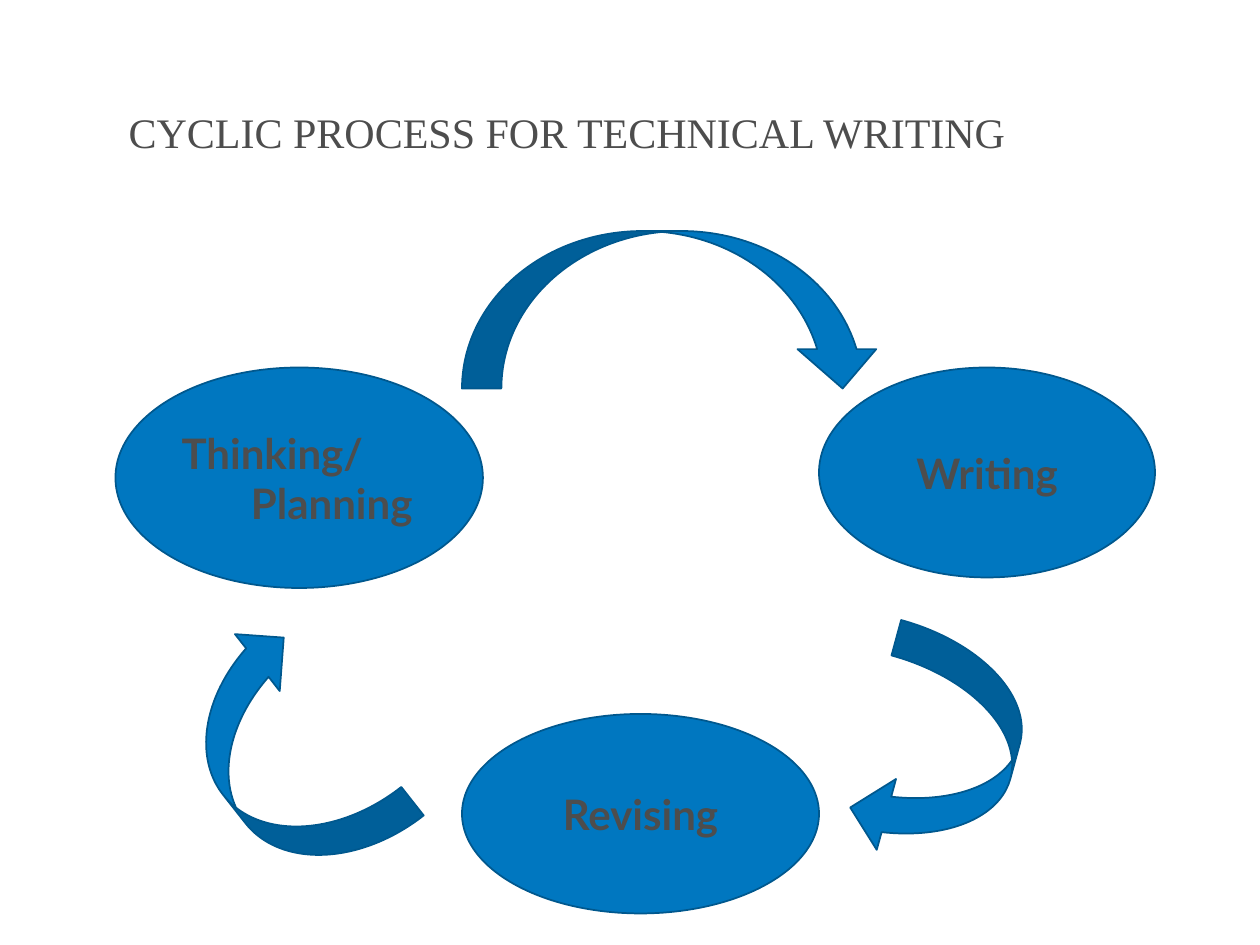
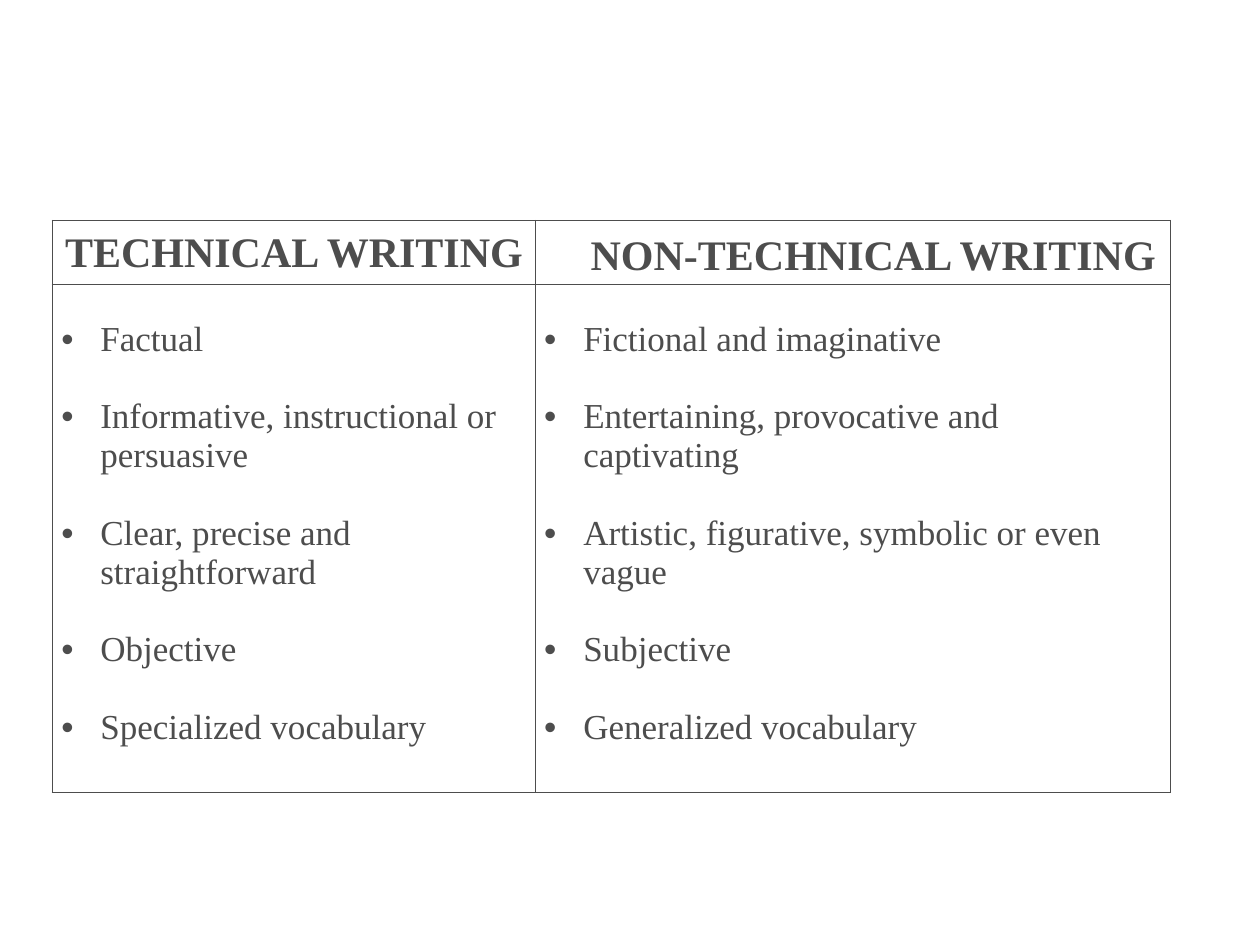
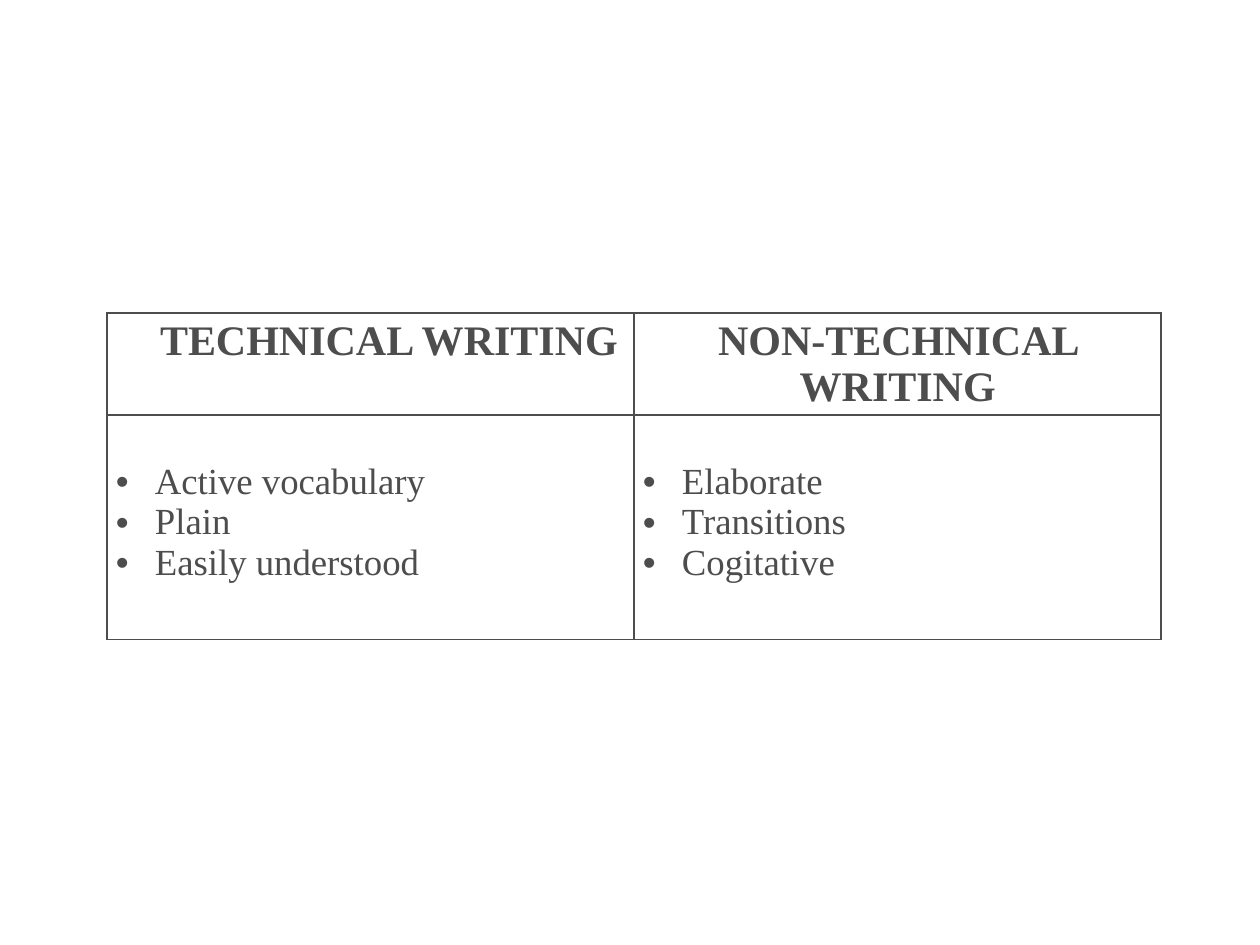
from dataclasses import dataclass

from lxml.etree import SubElement
from pptx import Presentation
from pptx.dml.color import RGBColor
from pptx.enum.shapes import MSO_SHAPE as SHAPE
from pptx.enum.text import MSO_ANCHOR as ANCHOR, PP_ALIGN as ALIGN
from pptx.oxml import parse_xml
from pptx.oxml.ns import nsdecls, qn
from pptx.util import Emu, Inches, Pt

# Shared style
INK, BLUE, EDGE = "4D4D4D", "0077C0", "00588E"
SERIF, SANS = "Times New Roman", "Lato"
TITLE = {"size": Pt(24), "name": SERIF, "bold": False}
HEADER = {"size": Pt(24), "name": SERIF, "bold": True}
LABEL = {"size": Pt(24), "name": SANS, "bold": True}
LINE_HEIGHT = 1.11  # line pitch of the serif font as a share of its size
BULLET_INDENT = 0.31

# Grid: 120 columns by 90 rows on a 10 by 7.5 inch slide
CELL = Inches(10) // 120


@dataclass
class Box:
    col: float
    row: float
    cols: float
    rows: float

    def place(self) -> tuple:
        return tuple(grid(n) for n in (self.col, self.row, self.cols, self.rows))


@dataclass
class Stage:
    text: str
    box: Box
    hanging: float = 0  # inches; lines after the first start this far in


@dataclass
class Arrow:
    kind: SHAPE
    box: Box
    rotation: float = 0


@dataclass
class Column:
    header: str
    items: list[str]
    header_left: float = 0.07
    header_top: float = 0.04


@dataclass
class Comparison:
    col: float
    row: float
    widths: list[float]
    heights: list[float]
    columns: list[Column]
    size: float
    gap_lines: int
    body_top: float
    header_anchor: ANCHOR


def grid(n: float) -> Emu:
    return Emu(round(n * CELL))


def rgb(value: str) -> RGBColor:
    return RGBColor.from_string(value)


def write(p, text: str, style: dict, align=ALIGN.LEFT) -> None:
    p.alignment = align
    r = p.add_run()
    r.text = text
    for key, value in style.items():
        setattr(r.font, key, value)
    r.font.color.rgb = rgb(INK)


def hang(p, inches: float) -> None:
    pPr = p._p.get_or_add_pPr()
    pPr.set("marL", str(Inches(inches)))
    pPr.set("indent", str(-Inches(inches)))


def add_bullet(p) -> None:
    hang(p, BULLET_INDENT)
    pPr = p._p.get_or_add_pPr()
    SubElement(pPr, qn("a:buFont"), typeface="Arial")
    SubElement(pPr, qn("a:buChar"), char="•")


def add_blue_shape(s, kind: SHAPE, box: Box):
    sp = s.shapes.add_shape(kind, *box.place())
    sp.shadow.inherit = False
    sp.fill.solid()
    sp.fill.fore_color.rgb = rgb(BLUE)
    sp.line.color.rgb = rgb(EDGE)
    sp.line.width = Pt(1)
    return sp


def add_stage(s, stage: Stage) -> None:
    tf = add_blue_shape(s, SHAPE.OVAL, stage.box).text_frame
    tf.word_wrap = True
    tf.vertical_anchor = ANCHOR.MIDDLE
    p = tf.paragraphs[0]
    write(p, stage.text, LABEL, ALIGN.LEFT if stage.hanging else ALIGN.CENTER)
    if stage.hanging:
        tf.margin_right = 0
        hang(p, stage.hanging)


def add_arrow(s, arrow: Arrow) -> None:
    add_blue_shape(s, arrow.kind, arrow.box).rotation = arrow.rotation


def format_cell(cell, left: float, top: float) -> None:
    margins = {"left": left, "top": top, "right": 0.07, "bottom": 0.03}
    for side, inches in margins.items():
        setattr(cell, f"margin_{side}", Inches(inches))
    cell.fill.background()
    tcPr = cell._tc.get_or_add_tcPr()
    for i, side in enumerate("LRTB"):
        tcPr.insert(i, parse_xml(
            f'<a:ln{side} {nsdecls("a")} w="{Pt(1)}"><a:solidFill>'
            f'<a:srgbClr val="{INK}"/></a:solidFill></a:ln{side}>'))


def add_comparison(s, c: Comparison) -> None:
    box = Box(c.col, c.row, sum(c.widths), sum(c.heights))
    table = s.shapes.add_table(len(c.heights), len(c.widths), *box.place()).table
    table.first_row = table.horz_banding = False
    for row, height in zip(table.rows, c.heights):
        row.height = grid(height)
    body_style = {"size": Pt(c.size), "name": SERIF, "bold": False}
    for i, (column, width) in enumerate(zip(c.columns, c.widths)):
        table.columns[i].width = grid(width)
        # Header
        head = table.cell(0, i)
        format_cell(head, column.header_left, column.header_top)
        head.vertical_anchor = c.header_anchor
        write(head.text_frame.paragraphs[0], column.header, HEADER, ALIGN.CENTER)
        # Bulleted body
        body = table.cell(1, i)
        format_cell(body, 0.07, c.body_top)
        tf = body.text_frame
        for n, item in enumerate(column.items):
            p = tf.add_paragraph() if n else tf.paragraphs[0]
            if n:
                p.space_before = Pt(c.gap_lines * c.size * LINE_HEIGHT)
            add_bullet(p)
            write(p, item, body_style)


# Slide content
STAGES = [
    Stage("Thinking/ Planning", Box(11, 35, 35, 21), hanging=0.55),
    Stage("Writing", Box(78, 35, 32, 20)),
    Stage("Revising", Box(44, 68, 34, 19)),
]
ARROWS = [
    Arrow(SHAPE.CURVED_DOWN_ARROW, Box(44, 22, 40, 15)),
    Arrow(SHAPE.CURVED_LEFT_ARROW, Box(82.7, 60.5, 14, 22), 15.2),
    Arrow(SHAPE.CURVED_LEFT_ARROW, Box(20.3, 59.6, 13.8, 25), 141.8),
]
COMPARISONS = [
    Comparison(
        5, 21, [46, 60.5], [6.1, 48.4],
        [Column("TECHNICAL WRITING",
                ["Factual", "Informative, instructional or persuasive",
                 "Clear, precise and straightforward", "Objective",
                 "Specialized vocabulary"]),
         Column("NON-TECHNICAL WRITING",
                ["Fictional and imaginative",
                 "Entertaining, provocative and captivating",
                 "Artistic, figurative, symbolic or even vague", "Subjective",
                 "Generalized vocabulary"], header_left=0.39, header_top=0.09)],
        size=20, gap_lines=1, body_top=0.28, header_anchor=ANCHOR.MIDDLE),
    Comparison(
        10.2, 29.8, [50.2, 50.2], [9.7, 21.4],
        [Column("TECHNICAL WRITING",
                ["Active vocabulary", "Plain", "Easily understood"],
                header_left=0.36),
         Column("NON-TECHNICAL WRITING",
                ["Elaborate", "Transitions", "Cogitative"])],
        size=21, gap_lines=0, body_top=0.37, header_anchor=ANCHOR.TOP),
]


def add_cycle_slide(prs) -> None:
    s = prs.slides.add_slide(prs.slide_layouts[5])
    title = s.shapes.title
    title.left, title.top, title.width, title.height = Box(6, 4, 96, 17).place()
    title.text_frame.vertical_anchor = ANCHOR.MIDDLE
    write(title.text_frame.paragraphs[0], "CYCLIC PROCESS FOR TECHNICAL WRITING",
          TITLE, ALIGN.CENTER)
    for stage, arrow in zip(STAGES, ARROWS):
        add_stage(s, stage)
        add_arrow(s, arrow)


def main() -> None:
    prs = Presentation()
    prs.slide_width, prs.slide_height = grid(120), grid(90)
    add_cycle_slide(prs)
    for comparison in COMPARISONS:
        add_comparison(prs.slides.add_slide(prs.slide_layouts[6]), comparison)
    prs.save("out.pptx")


if __name__ == "__main__":
    main()
